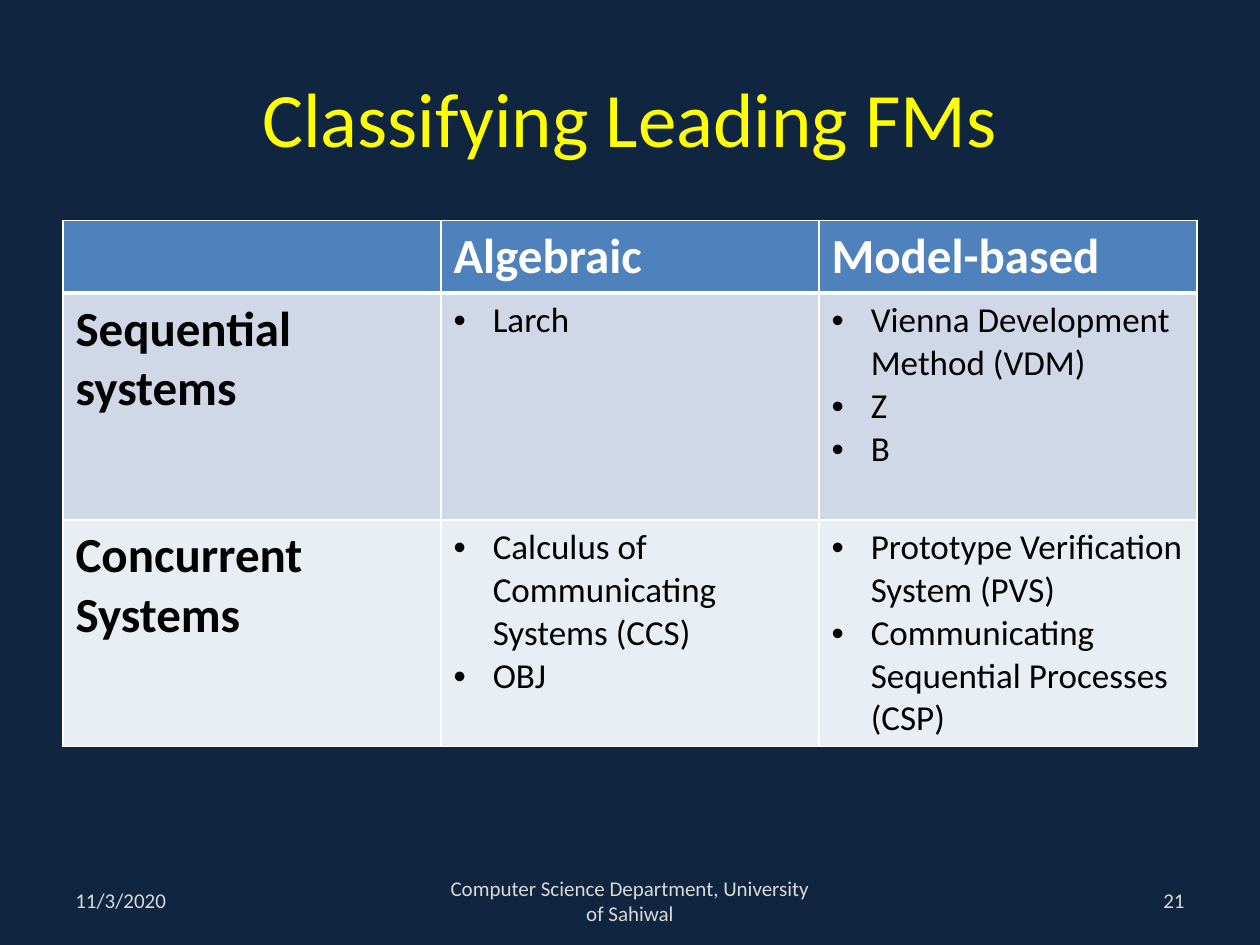
from lxml.etree import SubElement as Sub
from pptx import Presentation
from pptx.dml.color import RGBColor
from pptx.enum.text import MSO_ANCHOR as Anchor, PP_ALIGN as Align
from pptx.oxml.ns import qn
from pptx.util import Cm, Pt

FONT = "Calibri"
NAVY, YELLOW, WHITE, BLACK, GREY = "10253F", "FFFF00", "FFFFFF", "000000", "D9D9D9"
FILLS = ["4F81BD", "D0D8E8", "E9EDF4"]
HEIGHTS = [1.46, 4.57, 4.57]
WIDTH = 7.62

LABELS = [
    ("Classifying Leading FMs", (1.27, 0.76, 22.86, 3.18), 44, YELLOW, Align.CENTER),
    ("11/3/2020", (1.27, 17.65, 5.93, 1.01), 12, GREY, Align.LEFT),
    ("Computer Science Department, University of Sahiwal",
     (8.68, 17.65, 8.04, 1.01), 12, GREY, Align.CENTER),
    ("21", (18.2, 17.65, 5.93, 1.01), 12, GREY, Align.RIGHT),
]
ROWS = [
    ["", "Algebraic", "Model-based"],
    ["Sequential systems", ["Larch"], ["Vienna Development Method (VDM)", "Z", "B"]],
    ["Concurrent Systems",
     ["Calculus of Communicating Systems (CCS)", "OBJ"],
     ["Prototype Verification System (PVS)",
      "Communicating Sequential Processes (CSP)"]],
]


def rgb(code):
    return RGBColor.from_string(code)


def style(para, size, color, bold=False):
    for run in para.runs:
        font = run.font
        font.name, font.size, font.bold = FONT, Pt(size), bold
        font.color.rgb = rgb(color)


def label(slide, text, box, size, color, align):
    frame = slide.shapes.add_textbox(*map(Cm, box)).text_frame
    frame.word_wrap = True
    frame.vertical_anchor = Anchor.MIDDLE
    frame.text = text
    para = frame.paragraphs[0]
    para.alignment = align
    style(para, size, color)


def border(cell, row):
    props = cell._tc.get_or_add_tcPr()
    wide = {"L": 1, "R": 1, "T": 3 if row == 1 else 1, "B": 3 if row == 0 else 1}
    for side, width in wide.items():
        line = Sub(props, qn(f"a:ln{side}"), w=str(Pt(width)))
        Sub(Sub(line, qn("a:solidFill")), qn("a:srgbClr"), val=WHITE)


def bullet(para):
    props = para._p.get_or_add_pPr()
    props.set("marL", str(Cm(0.79)))
    props.set("indent", str(-Cm(0.79)))
    Sub(props, qn("a:buFont"), typeface="Arial")
    Sub(props, qn("a:buChar"), char="•")


def fill(cell, row, item):
    border(cell, row)
    cell.fill.solid()
    cell.fill.fore_color.rgb = rgb(FILLS[row])
    frame = cell.text_frame
    if isinstance(item, str):
        frame.text = item
        style(frame.paragraphs[0], 28, BLACK if row else WHITE, True)
        return
    frame.text = "\n".join(item)
    for para in frame.paragraphs:
        bullet(para)
        style(para, 20, BLACK)


def main():
    deck = Presentation()
    deck.slide_width, deck.slide_height = Cm(25.4), Cm(19.05)
    slide = deck.slides.add_slide(deck.slide_layouts[6])
    back = slide.background.fill
    back.solid()
    back.fore_color.rgb = rgb(NAVY)
    for item in LABELS:
        label(slide, *item)
    cols = len(ROWS[0])
    table = slide.shapes.add_table(
        len(ROWS), cols, Cm(1.27), Cm(4.45), Cm(WIDTH * cols), Cm(sum(HEIGHTS))
    ).table
    for col in table.columns:
        col.width = Cm(WIDTH)
    for r, row in enumerate(ROWS):
        table.rows[r].height = Cm(HEIGHTS[r])
        for c, item in enumerate(row):
            fill(table.cell(r, c), r, item)
    deck.save("out.pptx")


if __name__ == "__main__":
    main()
